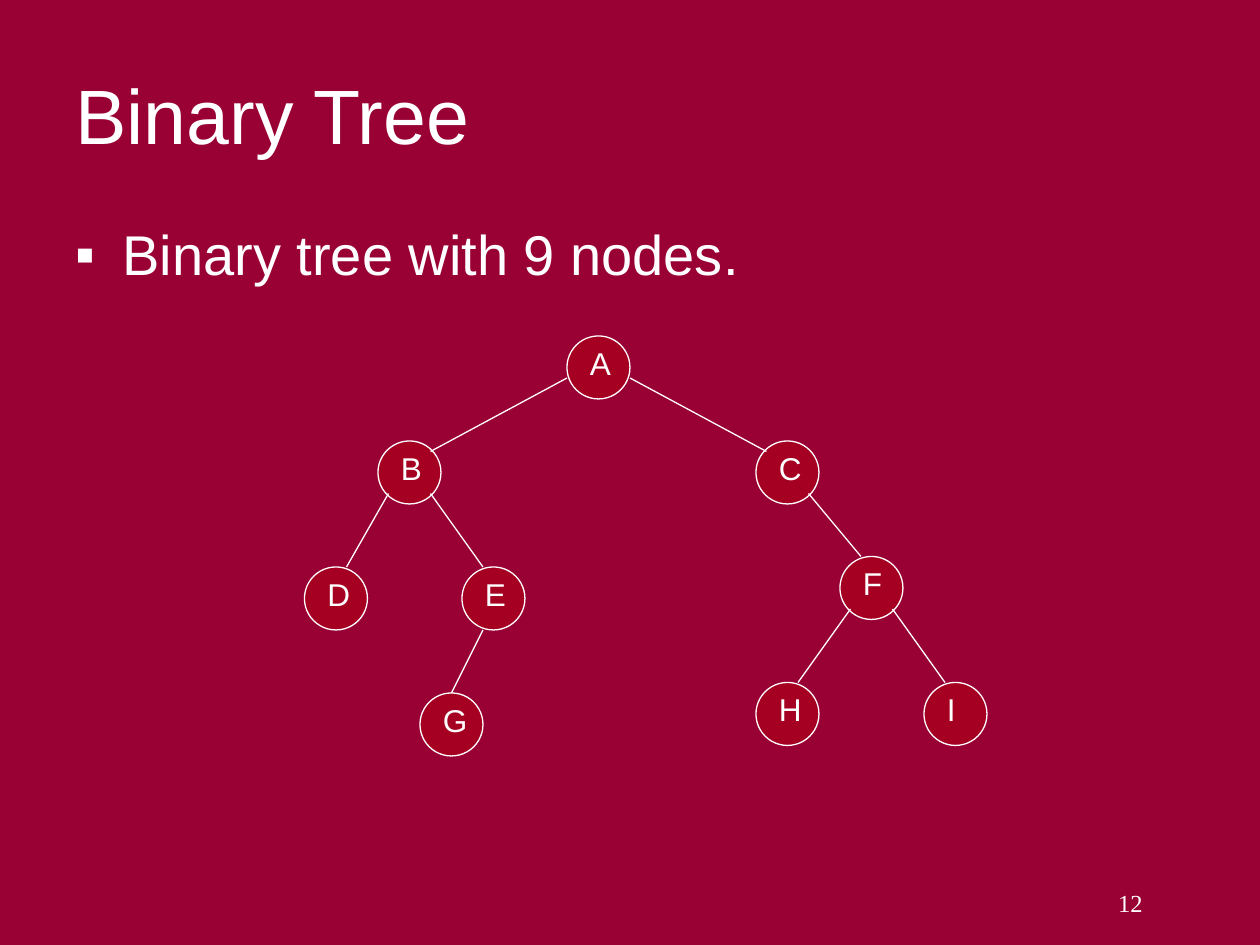
"""Build the slide that shows a binary tree with nine nodes."""
from dataclasses import dataclass
from typing import Any, NamedTuple

from lxml.etree import SubElement
from pptx import Presentation
from pptx.dml.color import RGBColor
from pptx.enum.shapes import MSO_CONNECTOR, MSO_SHAPE
from pptx.enum.text import MSO_ANCHOR, MSO_AUTO_SIZE, PP_ALIGN
from pptx.oxml.ns import qn
from pptx.util import Pt


@dataclass(frozen=True)
class Theme:
    background: RGBColor = RGBColor(0x99, 0x00, 0x33)
    node: RGBColor = RGBColor(0xA5, 0x00, 0x21)
    ink: RGBColor = RGBColor(0xFF, 0xFF, 0xFF)
    sans: str = "Arial"
    serif: str = "Times New Roman"
    title: float = 44
    body: float = 32
    label: float = 18
    number: float = 14
    stroke: float = 0.75
    diameter: float = 36


class Node(NamedTuple):
    left: float
    top: float
    label_width: float = 24


class Edge(NamedTuple):
    parent: str
    child: str
    start: tuple[float, float]
    end: tuple[float, float]


THEME = Theme()

NODES = {
    "A": Node(324, 192),
    "B": Node(216, 252),
    "D": Node(174, 324, 30),
    "H": Node(432, 390),
    "C": Node(432, 252),
    "E": Node(264, 324),
    "F": Node(480, 318),
    "G": Node(240, 396, 30),
    "I": Node(528, 390, 30),
}

EDGES = [
    Edge("A", "B", (0, 24), (30, 6)),
    Edge("A", "C", (36, 24), (6, 6)),
    Edge("B", "D", (6, 30), (24, 0)),
    Edge("B", "E", (30, 30), (12, 0)),
    Edge("E", "G", (12, 36), (18, 0)),
    Edge("C", "F", (30, 30), (12, 0)),
    Edge("F", "H", (6, 30), (24, 0)),
    Edge("F", "I", (30, 30), (12, 0)),
]


def apply_format(target: Any, values: dict[str, Any]) -> None:
    for name, value in values.items():
        setattr(target, name, value)


def write_text(box: Any, text: str, size: float, font: str = THEME.sans,
               align: PP_ALIGN = PP_ALIGN.LEFT,
               anchor: MSO_ANCHOR = MSO_ANCHOR.TOP) -> Any:
    apply_format(box.text_frame, {
        "word_wrap": True, "auto_size": MSO_AUTO_SIZE.NONE, "vertical_anchor": anchor})
    para = box.text_frame.paragraphs[0]
    para.alignment = align
    span = para.add_run()
    apply_format(span, {"text": text})
    apply_format(span.font, {"size": Pt(size), "name": font})
    span.font.color.rgb = THEME.ink
    return para


def add_text(page: Any, frame: tuple[float, ...], text: str, size: float,
             **options: Any) -> Any:
    box = page.shapes.add_textbox(*map(Pt, frame))
    return write_text(box, text, size, **options)


def add_bullet(para: Any, symbol: str, indent: float) -> None:
    properties = para._p.get_or_add_pPr()
    properties.set("marL", str(Pt(indent)))
    properties.set("indent", str(-Pt(indent)))
    color = SubElement(properties, qn("a:buClr"))
    SubElement(color, qn("a:srgbClr"), val=str(THEME.ink))
    SubElement(properties, qn("a:buFont"), typeface=THEME.sans)
    SubElement(properties, qn("a:buChar"), char=symbol)
    para.line_spacing = 0.9


def style_line(line: Any) -> None:
    line.color.rgb = THEME.ink
    line.width = Pt(THEME.stroke)


def add_node(page: Any, name: str, node: Node) -> None:
    circle = page.shapes.add_shape(
        MSO_SHAPE.OVAL, Pt(node.left), Pt(node.top), Pt(THEME.diameter), Pt(THEME.diameter))
    circle.shadow.inherit = False
    circle.fill.solid()
    circle.fill.fore_color.rgb = THEME.node
    style_line(circle.line)
    add_text(page, (node.left + 6, node.top + 1, node.label_width, 29), name, THEME.label)


def add_edge(page: Any, edge: Edge) -> None:
    parent, child = NODES[edge.parent], NODES[edge.child]
    points = (parent.left + edge.start[0], parent.top + edge.start[1],
              child.left + edge.end[0], child.top + edge.end[1])
    connector = page.shapes.add_connector(MSO_CONNECTOR.STRAIGHT, *map(Pt, points))
    style_line(connector.line)
    SubElement(connector._element.spPr, qn("a:effectLst"))


def main() -> None:
    deck = Presentation()
    apply_format(deck, {"slide_width": Pt(720), "slide_height": Pt(540)})
    page = deck.slides.add_slide(deck.slide_layouts[5])
    page.background.fill.solid()
    page.background.fill.fore_color.rgb = THEME.background

    title = page.shapes.title
    apply_format(title, {
        "left": Pt(36), "top": Pt(28.8), "width": Pt(648), "height": Pt(72)})
    write_text(title, "Binary Tree", THEME.title, anchor=MSO_ANCHOR.MIDDLE)
    para = add_text(page, (36, 126, 648, 42), "Binary tree with 9 nodes.", THEME.body)
    add_bullet(para, "▪", 27)
    add_text(page, (510, 504, 150, 36), "12", THEME.number,
             font=THEME.serif, align=PP_ALIGN.RIGHT)

    for name, node in NODES.items():
        add_node(page, name, node)
    for edge in EDGES:
        add_edge(page, edge)
    deck.save("out.pptx")


if __name__ == "__main__":
    main()
